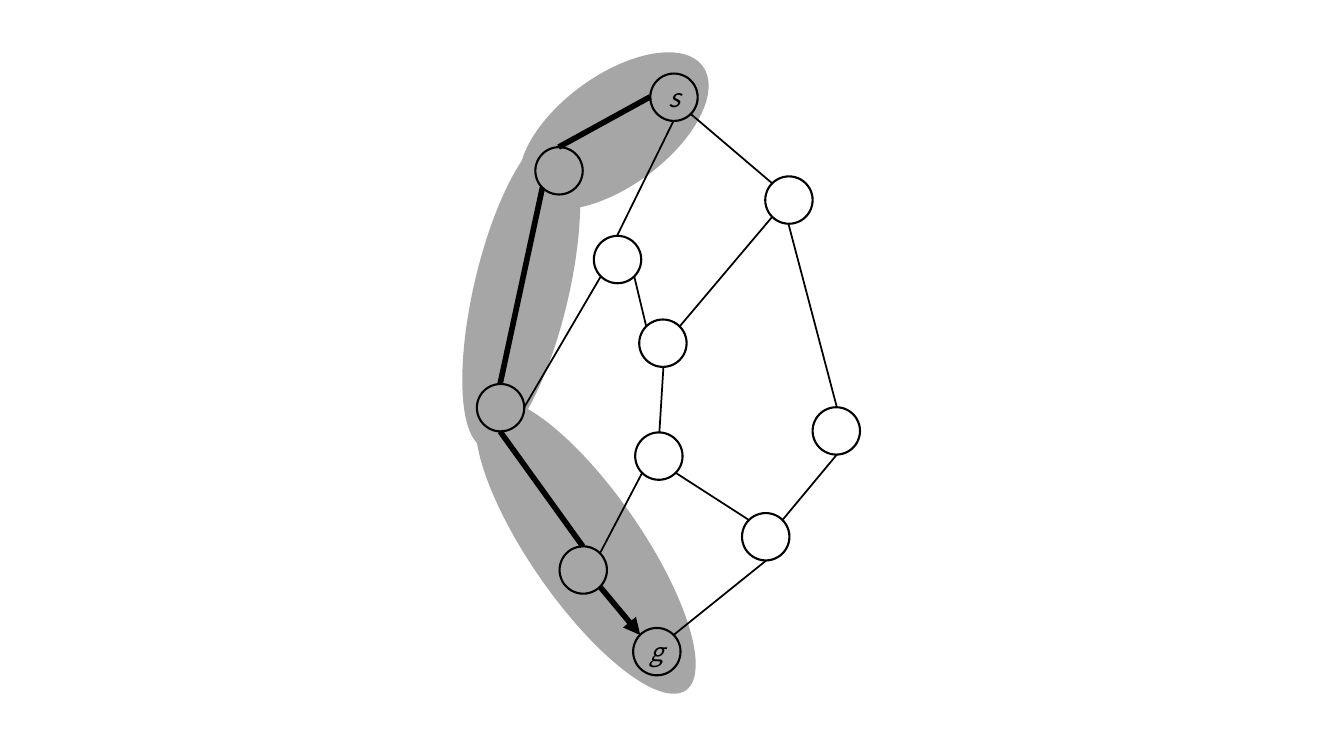
import lxml.etree
import pptx
import pptx.dml.color
import pptx.enum.shapes
import pptx.enum.text
import pptx.oxml.ns
import pptx.util

PX = 9144
NODE_SIZE = 47
COLORS = {"ink": "000000", "highlight": "A6A6A6"}
FONT = {"name": "Noto Sans CJK JP", "size": pptx.util.Pt(18), "italic": True}
FRAME = {
    "margin_left": 0, "margin_right": 0, "margin_top": 0, "margin_bottom": 0,
    "word_wrap": False,
    "vertical_anchor": pptx.enum.text.MSO_ANCHOR.MIDDLE,
}

HIGHLIGHTS = [
    (84, 1, 110, 218, 53.9),
    (56, 348, 110, 348, 325.2),
    (0, 109, 94, 319, 13.2),
]
NODES = {
    "start": (175, 53), "northwest": (61, 126), "west": (3, 361),
    "southwest": (85, 522), "goal": (158, 603), "inner": (119, 214),
    "middle": (164, 297), "lower": (160, 409), "northeast": (289, 155),
    "east": (336, 384), "southeast": (266, 489),
}
LABELS = {"start": "s", "goal": "g"}
SIDES = {
    "top": (0, -1), "bottom": (0, 1), "left": (-1, 0), "right": (1, 0),
    "top left": (-0.71, -0.71), "top right": (0.71, -0.71),
    "bottom left": (-0.71, 0.71), "bottom right": (0.71, 0.71),
}
EDGES = [
    ("southeast", "bottom", "goal", "top right"),
    ("start", "bottom right", "northeast", "top left"),
    ("start", "bottom", "inner", "top"),
    ("middle", "bottom", "lower", "top"),
    ("west", "right", "inner", "bottom left"),
    ("middle", "top right", "northeast", "bottom left"),
    ("southeast", "top left", "lower", "bottom right"),
    ("lower", "bottom left", "southwest", "top right"),
    ("east", "top", "northeast", "bottom"),
    ("southeast", "top right", "east", "bottom"),
    ("inner", "bottom right", "middle", "top left"),
]
ROUTE = [
    ("start", "left", "northwest", "top"),
    ("northwest", "bottom left", "west", "top"),
    ("west", "bottom", "southwest", "top"),
    ("southwest", "bottom right", "goal", "top left"),
]


def px(length):
    return round(length) * PX


def color(name):
    return pptx.dml.color.RGBColor.from_string(COLORS[name])


def set_values(target, values):
    for name, value in values.items():
        setattr(target, name, value)


def add_ellipse(slide, left, top, width, height):
    ellipse = slide.shapes.add_shape(
        pptx.enum.shapes.MSO_SHAPE.OVAL, px(left), px(top), px(width), px(height))
    ellipse.shadow.inherit = False
    return ellipse


def add_highlight(slide, left, top, width, height, rotation):
    highlight = add_ellipse(slide, left, top, width, height)
    highlight.rotation = rotation
    highlight.fill.solid()
    highlight.fill.fore_color.rgb = color("highlight")
    highlight.line.fill.background()


def add_node(slide, left, top, label):
    node = add_ellipse(slide, left, top, NODE_SIZE, NODE_SIZE)
    node.fill.background()
    node.line.color.rgb = color("ink")
    node.line.width = pptx.util.Pt(1.5)
    if label:
        set_values(node.text_frame, FRAME)
        para = node.text_frame.paragraphs[0]
        para.alignment = pptx.enum.text.PP_ALIGN.CENTER
        span = para.add_run()
        span.text = label
        set_values(span.font, FONT)
        span.font.color.rgb = color("ink")


def node_side(left, top, node, side):
    x, y = NODES[node]
    across, down = SIDES[side]
    radius = NODE_SIZE / 2
    return (px(left + x + radius * (1 + across)),
            px(top + y + radius * (1 + down)))


def add_edge(slide, left, top, edge, weight):
    first, first_side, last, last_side = edge
    line = slide.shapes.add_connector(
        pptx.enum.shapes.MSO_CONNECTOR.STRAIGHT,
        *node_side(left, top, first, first_side),
        *node_side(left, top, last, last_side))
    line.line.color.rgb = color("ink")
    line.line.width = pptx.util.Pt(weight)
    lxml.etree.SubElement(line.element.spPr, pptx.oxml.ns.qn("a:effectLst"))
    return line


def add_arrowhead(line):
    outline = line.line._get_or_add_ln()
    lxml.etree.SubElement(outline, pptx.oxml.ns.qn("a:tailEnd"), type="triangle")


def draw_graph(slide, left, top):
    for x, y, width, height, rotation in HIGHLIGHTS:
        add_highlight(slide, left + x, top + y, width, height, rotation)
    for name, (x, y) in NODES.items():
        add_node(slide, left + x, top + y, LABELS.get(name))
    for edge in EDGES:
        add_edge(slide, left, top, edge, 1.25)
    route_lines = [add_edge(slide, left, top, edge, 4) for edge in ROUTE]
    add_arrowhead(route_lines[-1])


def main():
    deck = pptx.Presentation()
    deck.slide_width = px(1333)
    deck.slide_height = px(750)
    page = deck.slides.add_slide(deck.slide_layouts[6])
    draw_graph(page, 470, 20)
    deck.save("out.pptx")


if __name__ == "__main__":
    main()
